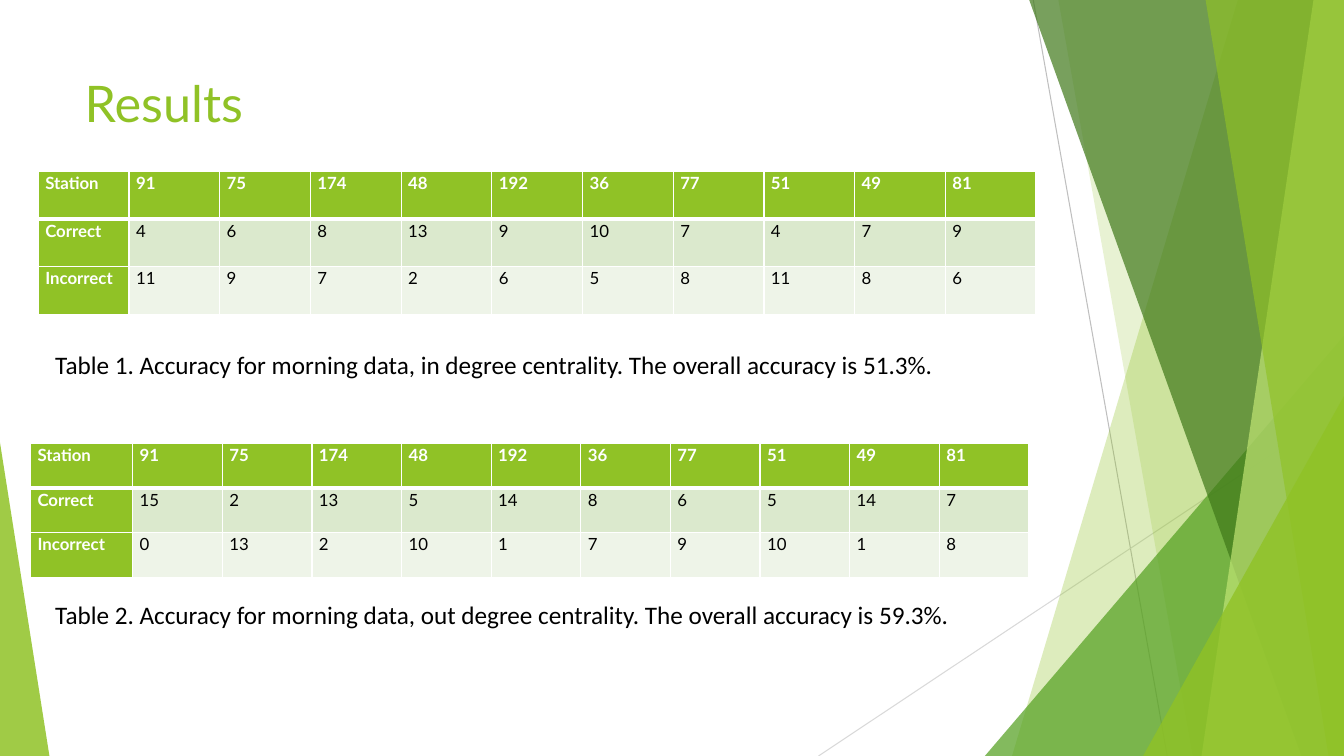
import pptx
import pptx.dml.color
import pptx.enum.shapes
import pptx.enum.text
import pptx.oxml
import pptx.oxml.ns
import pptx.util

GREEN, DEEP_GREEN, DARK_GREEN, LIME = "90C226", "54A021", "3F7819", "C0E474"
WHITE, BLACK = "FFFFFF", "000000"
ROW_TINTS = ["DBE9CD", "EEF4E8"]

STATIONS = ["Station", 91, 75, 174, 48, 192, 36, 77, 51, 49, 81]
IN_DEGREE = [
    STATIONS,
    ["Correct", 4, 6, 8, 13, 9, 10, 7, 4, 7, 9],
    ["Incorrect", 11, 9, 7, 2, 6, 5, 8, 11, 8, 6],
]
OUT_DEGREE = [
    STATIONS,
    ["Correct", 15, 2, 13, 5, 14, 8, 6, 5, 14, 7],
    ["Incorrect", 0, 13, 2, 10, 1, 7, 9, 10, 1, 8],
]


def rgb(hex_code):
    return pptx.dml.color.RGBColor.from_string(hex_code)


def drawing_xml(tag, attributes="", content=""):
    namespace = pptx.oxml.ns.nsdecls("a")
    return pptx.oxml.parse_xml(f"<a:{tag} {namespace} {attributes}>{content}</a:{tag}>")


class ResultsSlide:
    """Draws on one slide; every position and size is a percentage of the slide."""

    heading_font, caption_font = "Lato", "Calibri"
    title_size, caption_size, cell_size = 36, 18, 12

    def __init__(self, presentation):
        self.width = presentation.slide_width
        self.height = presentation.slide_height
        self.slide = presentation.slides.add_slide(presentation.slide_layouts[5])
        self.shapes = self.slide.shapes

    def x(self, share):
        return round(self.width * share / 100)

    def y(self, share):
        return round(self.height * share / 100)

    def box(self, left, top, width, height):
        return self.x(left), self.y(top), self.x(width), self.y(height)

    def style_text(self, paragraph, font, size, color, bold=False):
        paragraph.font.name = font
        paragraph.font.size = pptx.util.Pt(size)
        paragraph.font.bold = bold
        paragraph.font.color.rgb = rgb(color)

    def style_facet(self, facet, color, opacity):
        facet.shadow.inherit = False
        facet.line.fill.background()
        facet.fill.solid()
        facet.fill.fore_color.rgb = rgb(color)
        color_xml = facet.fill._xPr.find(".//" + pptx.oxml.ns.qn("a:srgbClr"))
        color_xml.append(drawing_xml("alpha", f'val="{opacity * 1000}"'))

    def hairline(self, start, end, color):
        line = self.shapes.add_connector(
            pptx.enum.shapes.MSO_CONNECTOR.STRAIGHT,
            self.x(start[0]), self.y(start[1]), self.x(end[0]), self.y(end[1]))
        line.line.color.rgb = rgb(color)
        line.line.width = pptx.util.Pt(0.75)
        line.element.spPr.append(drawing_xml("effectLst"))

    def band(self, top_x, bottom_x, color, opacity):
        """Fills from a slanted edge to the right side of the slide."""
        outline = self.shapes.build_freeform(self.x(top_x), 0)
        outline.add_line_segments([
            (self.x(100), 0), (self.x(100), self.y(100)), (self.x(bottom_x), self.y(100))])
        self.style_facet(outline.convert_to_shape(), color, opacity)

    def corner(self, left, top, width, apex, color, opacity):
        """Stands a triangle on the bottom edge; apex is 0 for left, 1 for right."""
        triangle = self.shapes.add_shape(
            pptx.enum.shapes.MSO_SHAPE.ISOSCELES_TRIANGLE,
            *self.box(left, top, width, 100 - top))
        triangle.adjustments[0] = apex
        self.style_facet(triangle, color, opacity)

    def title(self, text, left, top, width, height):
        title = self.shapes.title
        title.left, title.top, title.width, title.height = self.box(left, top, width, height)
        frame = title.text_frame
        frame.text = text
        frame.auto_size = pptx.enum.text.MSO_AUTO_SIZE.NONE
        frame.vertical_anchor = pptx.enum.text.MSO_ANCHOR.TOP
        frame.paragraphs[0].alignment = pptx.enum.text.PP_ALIGN.LEFT
        self.style_text(frame.paragraphs[0], self.heading_font, self.title_size, GREEN)
        self.shapes.element.append(title.element)

    def caption(self, text, left, top, width):
        frame = self.shapes.add_textbox(*self.box(left, top, width, 5.39)).text_frame
        frame.word_wrap = True
        frame.auto_size = pptx.enum.text.MSO_AUTO_SIZE.SHAPE_TO_FIT_TEXT
        frame.text = text
        self.style_text(frame.paragraphs[0], self.caption_font, self.caption_size, BLACK)

    def cell_borders(self, cell, row):
        widths = {"lnL": 1, "lnR": 1, "lnT": 3 if row == 1 else 1, "lnB": 3 if row == 0 else 1}
        fill = f'<a:solidFill><a:srgbClr val="{WHITE}"/></a:solidFill>'
        properties = cell._tc.get_or_add_tcPr()
        for position, (side, points) in enumerate(widths.items()):
            border = drawing_xml(side, f'w="{pptx.util.Pt(points)}"', fill)
            properties.insert(position, border)

    def accuracy_table(self, rows, left, top, label_width, station_width, row_height):
        station_count = len(rows[0]) - 1
        table_width = label_width + station_count * station_width
        table = self.shapes.add_table(
            len(rows), len(rows[0]),
            *self.box(left, top, table_width, row_height * len(rows))).table
        table.first_col = True
        for index, column in enumerate(table.columns):
            column.width = self.x(station_width if index else label_width)
        for row, values in enumerate(rows):
            table.rows[row].height = self.y(row_height)
            for column, value in enumerate(values):
                is_header = row == 0 or column == 0
                cell = table.cell(row, column)
                cell.text = str(value)
                cell.margin_left = cell.margin_right = pptx.util.Inches(0.07)
                cell.margin_top = cell.margin_bottom = 0
                cell.fill.solid()
                cell.fill.fore_color.rgb = rgb(GREEN if is_header else ROW_TINTS[row - 1])
                self.cell_borders(cell, row)
                paragraph = cell.text_frame.paragraphs[0]
                paragraph.line_spacing = 1.07
                self.style_text(paragraph, self.heading_font, self.cell_size,
                                WHITE if is_header else BLACK, is_header)

    def backdrop(self):
        self.hairline((76.88, 0), (86.85, 100), "BFBFBF")
        self.hairline((100, 53.73), (60.9, 100), "D9D9D9")
        self.band(92.1, 75.3, GREEN, 30)
        self.band(78.75, 88.73, GREEN, 20)
        self.corner(73.28, 44.4, 26.72, 1, DEEP_GREEN, 72)
        self.band(76.58, 96.83, DARK_GREEN, 70)
        self.band(97.73, 89.4, LIME, 70)
        self.band(89.7, 98.85, GREEN, 65)
        self.corner(85.05, 52.4, 14.95, 1, GREEN, 80)
        self.corner(0, 58.53, 3.68, 0, GREEN, 85)


def main():
    presentation = pptx.Presentation()
    presentation.slide_width = pptx.util.Inches(13.33)
    presentation.slide_height = pptx.util.Inches(7.5)
    results = ResultsSlide(presentation)
    results.backdrop()
    results.title("Results", 5.55, 8.93, 70.5, 19.2)
    results.accuracy_table(IN_DEGREE, 2.85, 22.67, 6.75, 6.75, 6.31)
    results.caption(
        "Table 1. Accuracy for morning data, in degree centrality. "
        "The overall accuracy is 51.3%.", 3.37, 45.6, 72.15)
    results.accuracy_table(OUT_DEGREE, 2.27, 58.67, 7.6, 6.67, 5.9)
    results.caption(
        "Table 2. Accuracy for morning data, out degree centrality. "
        "The overall accuracy is 59.3%.", 3.37, 78.67, 71.03)
    presentation.save("out.pptx")


if __name__ == "__main__":
    main()
